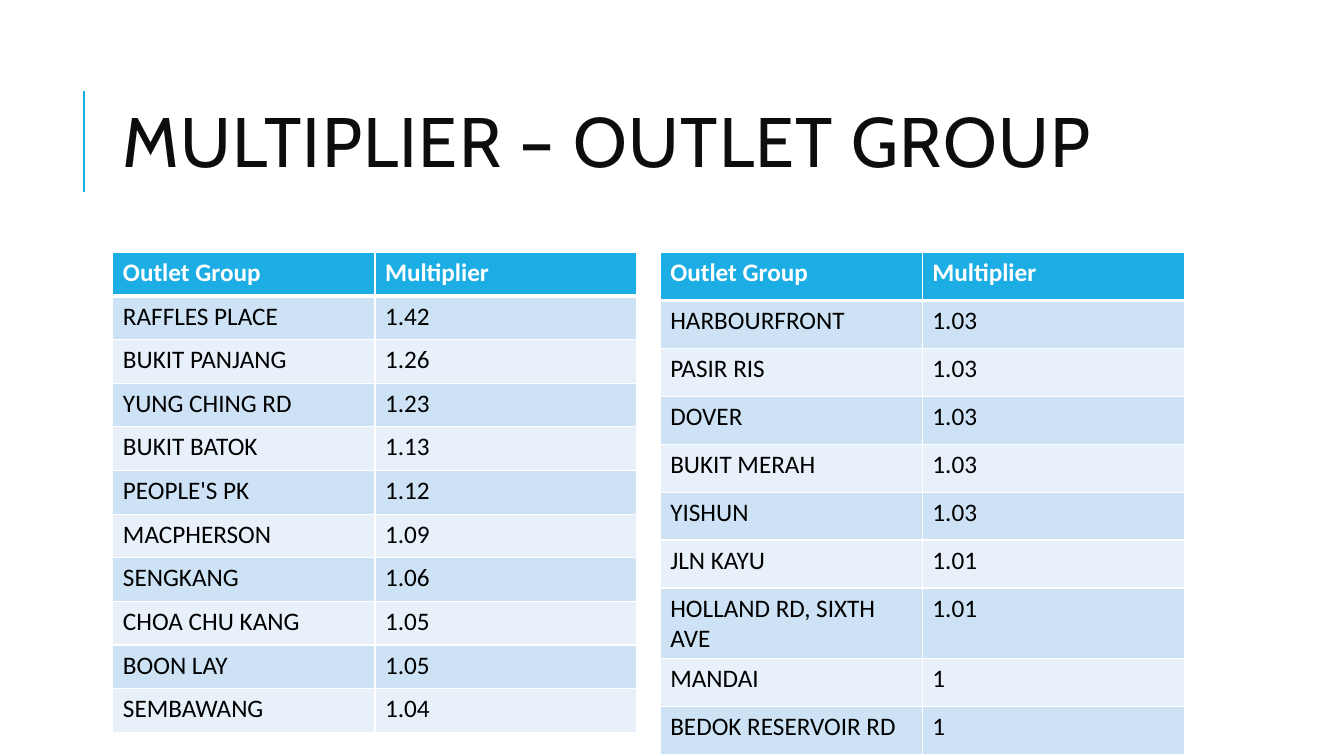
from dataclasses import dataclass

from lxml.etree import SubElement
from pptx import Presentation
from pptx.dml.color import RGBColor
from pptx.enum.shapes import MSO_CONNECTOR
from pptx.enum.text import MSO_ANCHOR
from pptx.oxml.ns import qn
from pptx.util import Pt


@dataclass(frozen=True)
class Theme:
    accent: str = "1CADE4"
    white: str = "FFFFFF"
    ink: str = "000000"
    dark: str = "0D0D0D"
    bands: tuple = ("CDE3F5", "E8F1FA")
    head: str = "Cabin"
    body: str = "Calibri"
    large: int = 50
    small: int = 18


class Board:
    def __init__(self, slide, theme):
        self.slide = slide
        self.theme = theme

    def run(self, para, text, font, size, color, bold=False):
        run = para.add_run()
        run.text = text
        run.font.name = font
        run.font.size = Pt(size)
        run.font.bold = bold
        run.font.color.rgb = RGBColor.from_string(color)
        return run

    def rule(self, left, top, end):
        line = self.slide.shapes.add_connector(
            MSO_CONNECTOR.STRAIGHT, Pt(left), Pt(end), Pt(left), Pt(top))
        line.line.color.rgb = RGBColor.from_string(self.theme.accent)
        line.line.width = Pt(1.5)
        SubElement(line._element.spPr, qn("a:effectLst"))

    def title(self, text, left, top, width, height):
        box = self.slide.shapes.add_textbox(
            Pt(left), Pt(top), Pt(width), Pt(height))
        frame = box.text_frame
        frame.word_wrap = True
        frame.vertical_anchor = MSO_ANCHOR.MIDDLE
        para = frame.paragraphs[0]
        para.line_spacing = 0.8
        look = self.theme
        run = self.run(para, text, look.head, look.large, look.dark)
        run.font._element.set("spc", "100")

    def edge(self, cell, side, width):
        props = cell._tc.get_or_add_tcPr()
        line = SubElement(props, qn("a:ln" + side), w=str(Pt(width)))
        fill = SubElement(line, qn("a:solidFill"))
        SubElement(fill, qn("a:srgbClr"), val=self.theme.white)

    def cell(self, cell, text, row):
        look = self.theme
        top = row == 0
        widths = {"L": 1, "R": 1, "T": 3 if row == 1 else 1, "B": 3 if top else 1}
        for side, width in widths.items():
            self.edge(cell, side, width)
        cell.fill.solid()
        shade = look.accent if top else look.bands[(row - 1) % 2]
        cell.fill.fore_color.rgb = RGBColor.from_string(shade)
        self.run(cell.text_frame.paragraphs[0], text, look.body, look.small,
                 look.white if top else look.ink, top)

    def table(self, rows, left, top, width, height):
        grid = self.slide.shapes.add_table(
            len(rows), len(rows[0]), Pt(left), Pt(top), Pt(width), Pt(height)).table
        for col in grid.columns:
            col.width = Pt(width / len(rows[0]))
        for row, texts in enumerate(rows):
            grid.rows[row].height = Pt(height / len(rows))
            for col, text in enumerate(texts):
                self.cell(grid.cell(row, col), text, row)


HEAD = ("Outlet Group", "Multiplier")
HIGH = [
    ("RAFFLES PLACE", "1.42"),
    ("BUKIT PANJANG", "1.26"),
    ("YUNG CHING RD", "1.23"),
    ("BUKIT BATOK", "1.13"),
    ("PEOPLE'S PK", "1.12"),
    ("MACPHERSON", "1.09"),
    ("SENGKANG", "1.06"),
    ("CHOA CHU KANG", "1.05"),
    ("BOON LAY", "1.05"),
    ("SEMBAWANG", "1.04"),
]
LOW = [
    ("HARBOURFRONT", "1.03"),
    ("PASIR RIS", "1.03"),
    ("DOVER", "1.03"),
    ("BUKIT MERAH", "1.03"),
    ("YISHUN", "1.03"),
    ("JLN KAYU", "1.01"),
    ("HOLLAND RD, SIXTH AVE", "1.01"),
    ("MANDAI", "1"),
    ("BEDOK RESERVOIR RD", "1"),
]


def main():
    deck = Presentation()
    deck.slide_width = Pt(960)
    deck.slide_height = Pt(540)
    board = Board(deck.slides.add_slide(deck.slide_layouts[6]), Theme())
    board.rule(60, 65, 137)
    board.title("MULTIPLIER – OUTLET GROUP", 80.64, 46, 765.36, 118)
    for left, rows in ((80.64, HIGH), (471.6, LOW)):
        board.table([HEAD] + rows, left, 180.3, 374.4, 342.7)
    deck.save("out.pptx")


if __name__ == "__main__":
    main()
